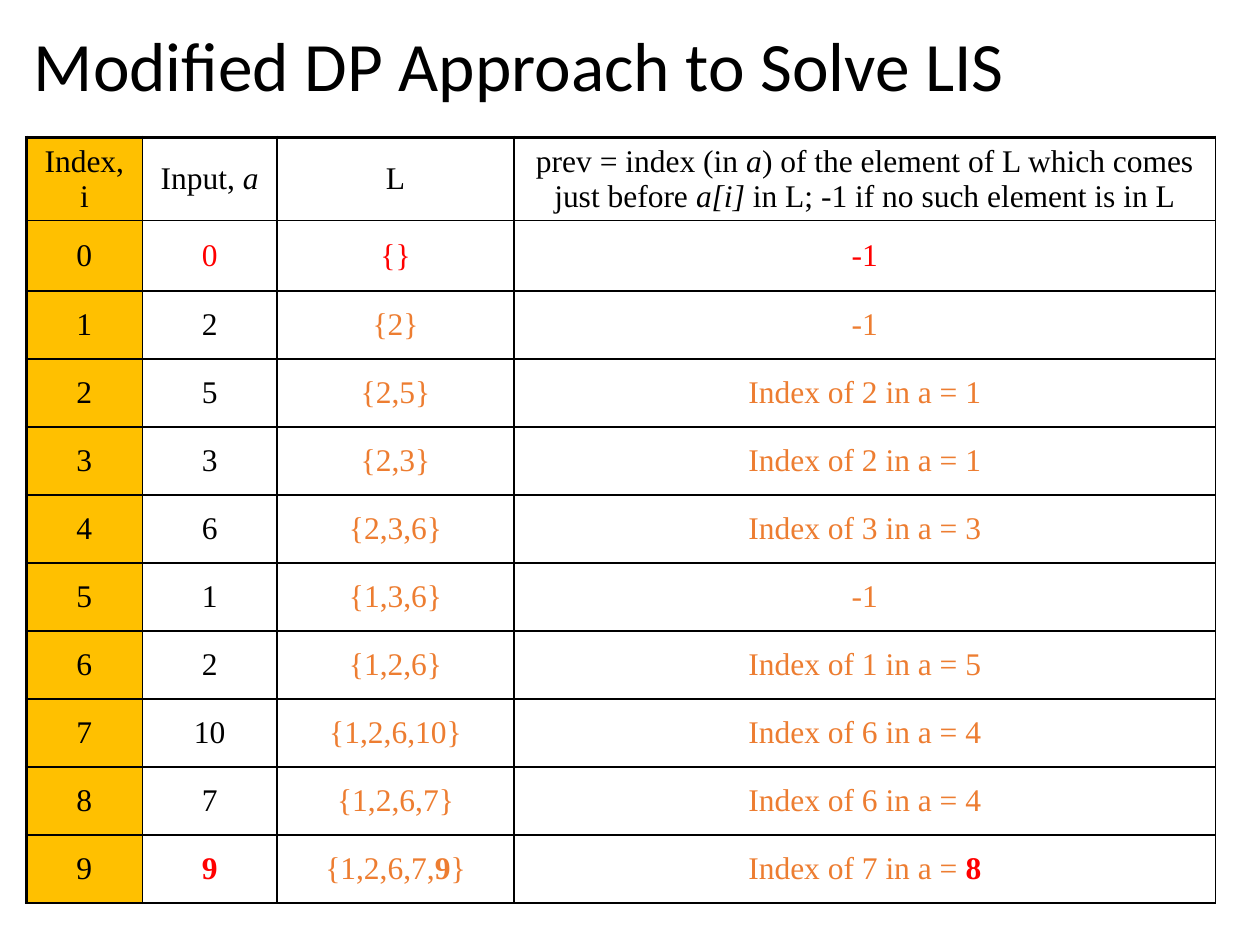
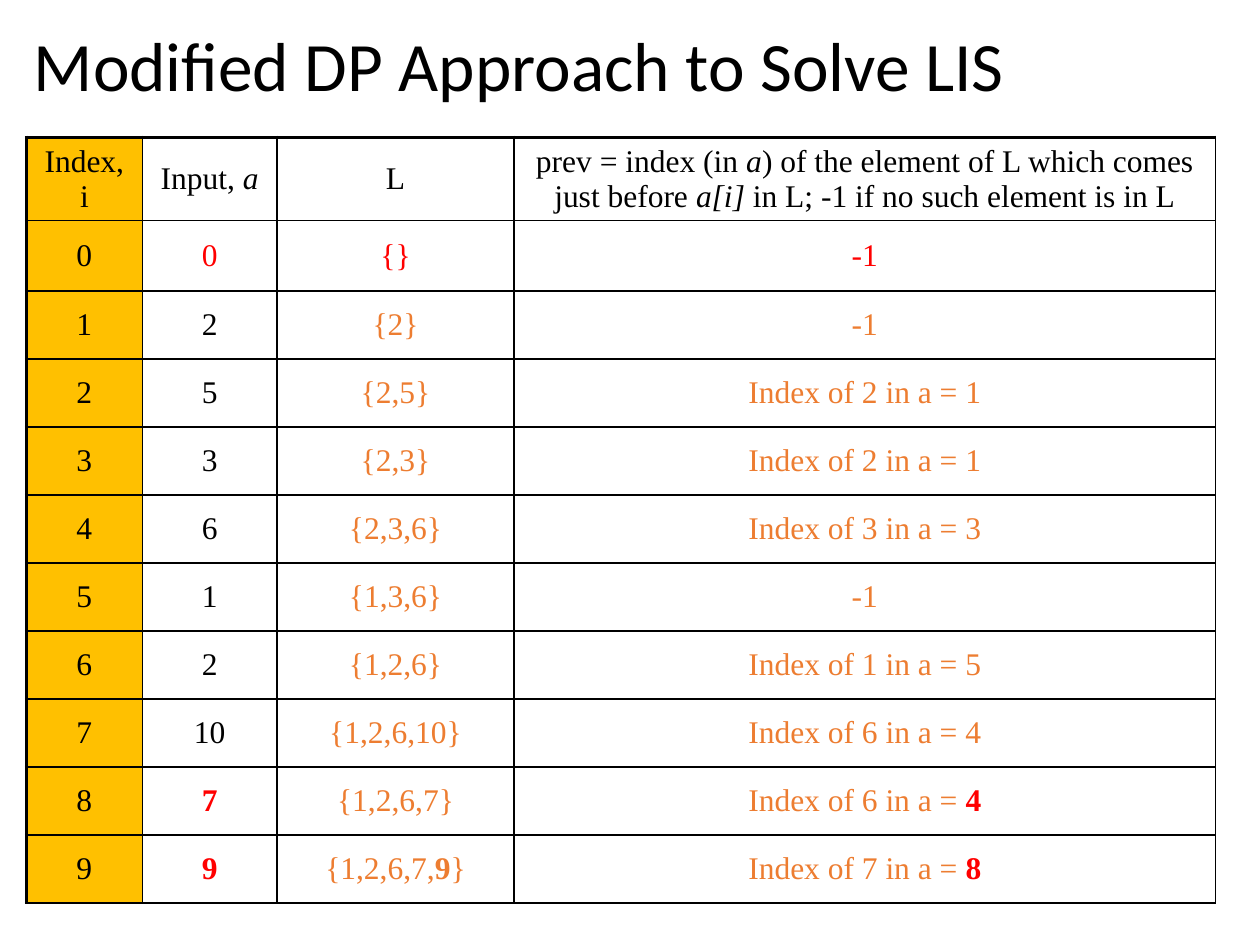
from lxml.etree import SubElement
from pptx import Presentation
from pptx.dml.color import RGBColor
from pptx.enum.text import MSO_ANCHOR as Anchor, PP_ALIGN as Align
from pptx.oxml.ns import qn
from pptx.util import Inches, Pt

COLORS = {"ink": "000000", "index": "FFC000", "mark": "FF0000", "result": "ED7D31"}
TITLE_FONT, TABLE_FONT = "Calibri", "Times New Roman"
THICK, THIN = 2.25, 1

# Boxes are left, top, width, height in inches
TITLE_BOX = (0.17, 0.18, 9.62, 0.74)
TABLE_BOX = (0.21, 1.09, 9.44, 6.07)
COLUMN_WIDTHS = (0.92, 1.07, 1.88, 5.57)
ROW_HEIGHTS = (0.65, 0.56) + (0.54,) * 9

TITLE = "Modified DP Approach to Solve LIS"

# Each header and cell is a list of (text, format) spans
HEADERS = [
    [("Index, i", {})],
    [("Input, ", {}), ("a", {"italic": True})],
    [("L", {})],
    [("prev = index (in ", {}), ("a", {"italic": True}),
     (") of the element of L which comes just before ", {}),
     ("a[i]", {"italic": True}),
     (" in L; -1 if no such element is in L", {})],
]

# Input value, L after reading it, index of the previous element
STEPS = [
    (0, "{}", -1),
    (2, "{2}", -1),
    (5, "{2,5}", 1),
    (3, "{2,3}", 1),
    (6, "{2,3,6}", 3),
    (1, "{1,3,6}", -1),
    (2, "{1,2,6}", 5),
    (10, "{1,2,6,10}", 4),
    (7, "{1,2,6,7}", 4),
    (9, "{1,2,6,7,9}", 8),
]


def add_span(para, text, font=TABLE_FONT, size=18, color="ink", bold=False, italic=False):
    span = para.add_run()
    span.text = text
    span.font.name = font
    span.font.size = Pt(size)
    span.font.bold = bold
    span.font.italic = italic
    span.font.color.rgb = RGBColor.from_string(COLORS[color])


def add_title(page, box, text):
    frame = page.shapes.add_textbox(*map(Inches, box)).text_frame
    frame.word_wrap = True
    frame.vertical_anchor = Anchor.MIDDLE
    para = frame.paragraphs[0]
    para.line_spacing = 0.9
    add_span(para, text, font=TITLE_FONT, size=39.6)


def set_borders(cell, **widths):
    properties = cell._tc.get_or_add_tcPr()
    for side in ("L", "R", "T", "B"):
        line = SubElement(properties, qn(f"a:ln{side}"), w=str(Pt(widths.get(side, THIN))))
        fill = SubElement(line, qn("a:solidFill"))
        SubElement(fill, qn("a:srgbClr"), val=COLORS["ink"])


def step_cells(index, traced):
    """Return the spans of the four cells of one step."""
    value, sequence, prev = STEPS[index]
    mark = {"color": "mark", "bold": True}
    result = {"color": "mark" if index == 0 else "result"}

    value_format = mark if index in traced else {"color": "mark" if index == 0 else "ink"}
    sequence_spans = [(sequence, result)]
    if index == len(STEPS) - 1:
        head = sequence.removesuffix(f"{value}}}")
        sequence_spans = [(head, result), (str(value), {**result, "bold": True}), ("}", result)]

    prev_spans = [(str(prev), result)]
    if prev >= 0:
        prev_spans = [(f"Index of {STEPS[prev][0]} in a = ", result),
                      (str(prev), mark if index in traced else result)]
    return [[(str(index), {})], [(str(value), value_format)], sequence_spans, prev_spans]


def add_step_table(page, box, traced):
    rows = [HEADERS] + [step_cells(index, traced) for index in range(len(STEPS))]
    table = page.shapes.add_table(len(rows), len(HEADERS), *map(Inches, box)).table
    table.first_row = table.horz_banding = False
    for column, width in zip(table.columns, COLUMN_WIDTHS):
        column.width = Inches(width)
    for row, height in zip(table.rows, ROW_HEIGHTS):
        row.height = Inches(height)

    for r, row in enumerate(rows):
        for c, spans in enumerate(row):
            cell = table.cell(r, c)
            cell.vertical_anchor = Anchor.MIDDLE
            cell.margin_top = cell.margin_bottom = Inches(0.03)
            # The outer top and left edges are heavier
            set_borders(cell, L=THIN if c else THICK, T=THIN if r else THICK)
            if c == 0:
                cell.fill.solid()
                cell.fill.fore_color.rgb = RGBColor.from_string(COLORS["index"])
            else:
                cell.fill.background()
            para = cell.text_frame.paragraphs[0]
            para.alignment = Align.CENTER
            for text, style in spans:
                add_span(para, text, **style)


def add_step_page(deck, traced):
    page = deck.slides.add_slide(deck.slide_layouts[6])
    add_title(page, TITLE_BOX, TITLE)
    add_step_table(page, TABLE_BOX, traced)


deck = Presentation()
deck.slide_width, deck.slide_height = Inches(10), Inches(7.5)
# Each page traces one more step back from the last element
for traced in ({9}, {8, 9}):
    add_step_page(deck, traced)
deck.save("out.pptx")
